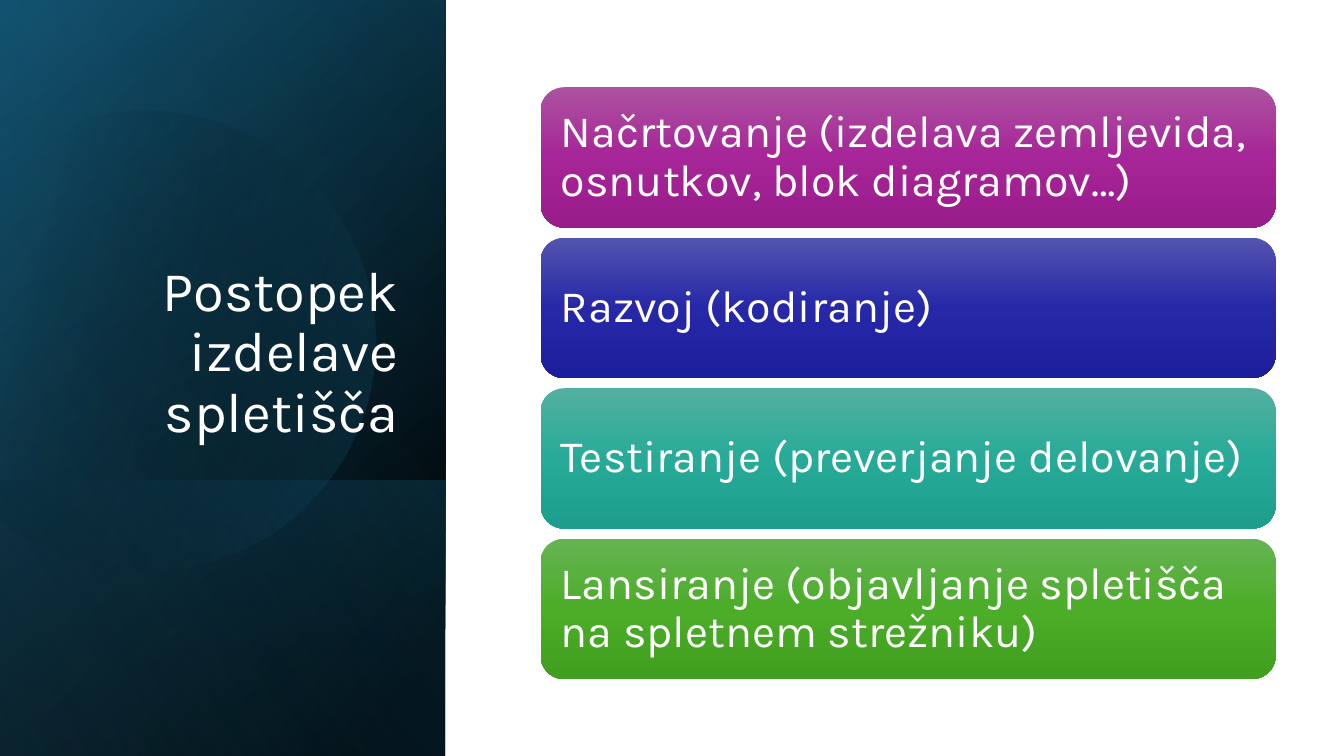
"""Build a slide with a dark title panel and four process step cards."""
from dataclasses import dataclass
from math import cos, radians, sin

from lxml.etree import SubElement
from pptx import Presentation
from pptx.dml.color import RGBColor
from pptx.enum.shapes import MSO_SHAPE
from pptx.enum.text import MSO_ANCHOR, MSO_AUTO_SIZE, PP_ALIGN
from pptx.oxml.ns import qn
from pptx.util import Pt


@dataclass(frozen=True)
class Theme:
    """Colours, font and type sizes of the slide."""
    font: str = "Karla"
    title_size: int = 40
    step_size: int = 32
    text: str = "FFFFFF"
    black: str = "000000"
    navy: str = "104862"
    teal: str = "156082"
    sky: str = "46B1E1"
    purple: tuple = ("AC53A0", "A62598", "991C8B")
    blue: tuple = ("5354AE", "2628A8", "1D1E9B")
    aqua: tuple = ("53B0A1", "27AB98", "1D9D8B")
    green: tuple = ("66B354", "4BAD28", "409F1E")


THEME = Theme()
PANEL_WIDTH = 318.2
SLIDE_HEIGHT = 540
STEPS = (
    ("Načrtovanje (izdelava zemljevida, osnutkov, blok diagramov…)", THEME.purple),
    ("Razvoj (kodiranje)", THEME.blue),
    ("Testiranje (preverjanje delovanje)", THEME.aqua),
    ("Lansiranje (objavljanje spletišča na spletnem strežniku)", THEME.green),
)


def paint_gradient(shape, stops, angle):
    """Fill a shape with (position, colour, opacity) stops, without line or shadow."""
    shape.shadow.inherit = False
    shape.line.fill.background()
    shape.fill.gradient()
    gradient = shape._element.spPr.find(qn("a:gradFill"))
    gradient.find(qn("a:lin")).set("ang", str(angle * 60000))
    stop_list = gradient.find(qn("a:gsLst"))
    for old_stop in list(stop_list):
        stop_list.remove(old_stop)
    for position, colour, opacity in stops:
        stop = SubElement(stop_list, qn("a:gs"), pos=str(position * 1000))
        tone = SubElement(stop, qn("a:srgbClr"), val=colour)
        if opacity < 100:
            SubElement(tone, qn("a:alpha"), val=str(opacity * 1000))


def write_text(shape, text, size, align, anchor, inset=None):
    """Write one formatted paragraph into a shape."""
    frame = shape.text_frame
    frame.word_wrap = True
    frame.auto_size = MSO_AUTO_SIZE.NONE
    frame.vertical_anchor = anchor
    if inset is not None:
        frame.margin_left = frame.margin_right = Pt(inset)
        frame.margin_top = frame.margin_bottom = Pt(inset)
    para = frame.paragraphs[0]
    para.alignment = align
    para.line_spacing = 0.9
    span = para.add_run()
    span.text = text
    span.font.name = THEME.font
    span.font.size = Pt(size)
    span.font.color.rgb = RGBColor.from_string(THEME.text)


def add_panel(page, stops, angle, top=0):
    """Add a turned panel layer reaching from top to the slide's lower edge."""
    length = SLIDE_HEIGHT - top
    left = (PANEL_WIDTH - length) / 2
    box_top = top + (length - PANEL_WIDTH) / 2
    panel = page.shapes.add_shape(
        MSO_SHAPE.RECTANGLE, Pt(left), Pt(box_top), Pt(length), Pt(PANEL_WIDTH))
    panel.rotation = 90
    panel._element.spPr.find(qn("a:xfrm")).set("flipH", "1")
    paint_gradient(panel, stops, angle)


def add_disc(page, center_x, center_y, radius, stops, angle):
    """Add a tilted disc, one arc closed by a chord on its left."""
    start, end = -118, 150
    points = [(Pt(center_x + radius * cos(radians(turn))),
               Pt(center_y + radius * sin(radians(turn))))
              for turn in (start, -90, 0, 90, end)]
    builder = page.shapes.build_freeform(*points[0])
    builder.add_line_segments(points[1:], close=True)
    disc = builder.convert_to_shape()
    outline = next(disc._element.iter(qn("a:path")))
    for segment in outline.findall(qn("a:lnTo")):
        outline.remove(segment)
    size = str(Pt(radius))
    arc = SubElement(outline, qn("a:arcTo"), wR=size, hR=size,
                     stAng=str((start + 360) * 60000),
                     swAng=str((end - start) * 60000))
    outline.find(qn("a:close")).addprevious(arc)
    disc.rotation = 343.9
    paint_gradient(disc, stops, angle)


def add_title(page, text):
    """Place the title over the panel."""
    title = page.shapes.title
    title.left, title.top = Pt(46.1), Pt(132.5)
    title.width, title.height = Pt(245.5), Pt(188.6)
    write_text(title, text, THEME.title_size, PP_ALIGN.RIGHT, MSO_ANCHOR.BOTTOM)
    page.shapes._spTree.append(title._element)


def add_step(page, index, text, tones):
    """Add one rounded step card at its place in the column."""
    card = page.shapes.add_shape(
        MSO_SHAPE.ROUNDED_RECTANGLE,
        Pt(386.2), Pt(62.3 + index * 107.5), Pt(525), Pt(100.2))
    stops = [(position, tone, 100) for position, tone in zip((0, 50, 100), tones)]
    paint_gradient(card, stops, 90)
    write_text(card, text, THEME.step_size, PP_ALIGN.LEFT, MSO_ANCHOR.MIDDLE, inset=9.6)


def main():
    """Build and save the deck."""
    deck = Presentation()
    deck.slide_width, deck.slide_height = Pt(960), Pt(SLIDE_HEIGHT)
    page = deck.slides.add_slide(deck.slide_layouts[5])
    add_panel(page, [(8, THEME.black, 100), (100, THEME.navy, 100)], 50)
    add_panel(page, [(0, THEME.black, 0), (99, THEME.teal, 46)], 30)
    add_panel(page, [(2, THEME.teal, 29), (100, THEME.black, 30)], 130, top=343)
    add_disc(page, 103.3, 240.8, 164.5,
             [(29, THEME.black, 0), (100, THEME.teal, 43)], 30)
    add_panel(page, [(0, THEME.black, 0), (99, THEME.sky, 11)], 120)
    add_title(page, "Postopek izdelave spletišča")
    for index, (text, tones) in enumerate(STEPS):
        add_step(page, index, text, tones)
    deck.save("out.pptx")


if __name__ == "__main__":
    main()
